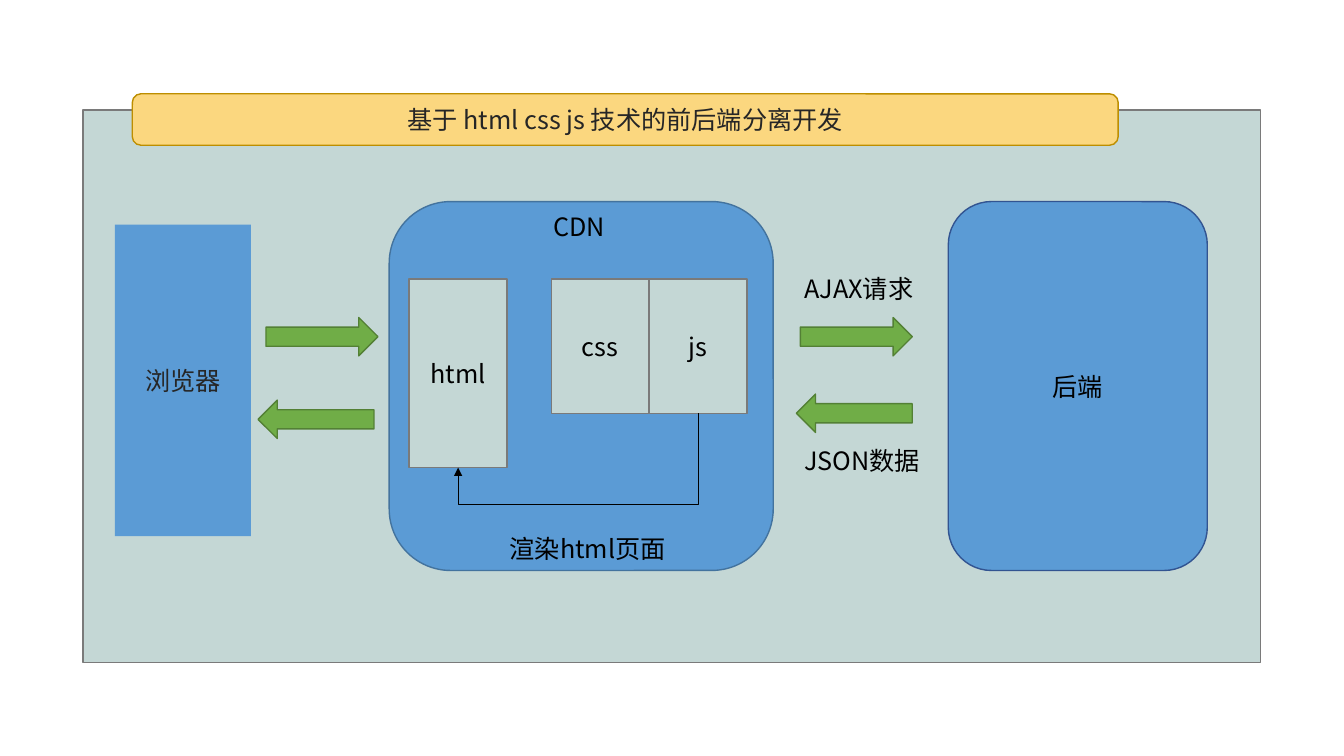
"""Build a slide on separating front end and back end with html, css and js."""
from lxml.etree import SubElement
from pptx import Presentation
from pptx.dml.color import RGBColor
from pptx.enum.shapes import MSO_CONNECTOR as Connector, MSO_SHAPE as Shape
from pptx.enum.text import MSO_ANCHOR as Anchor, PP_ALIGN as Align
from pptx.oxml.ns import qn
from pptx.util import Pt

FONT = "Noto Sans CJK SC"
BLACK = RGBColor(0x00, 0x00, 0x00)
CHARCOAL = RGBColor(0x26, 0x26, 0x26)
SAGE = RGBColor(0xC4, 0xD7, 0xD5)
GRAY = RGBColor(0x7A, 0x7A, 0x7A)
BLUE = RGBColor(0x5B, 0x9B, 0xD5)
CDN_EDGE = RGBColor(0x43, 0x73, 0x9E)
BACKEND_EDGE = RGBColor(0x32, 0x54, 0x91)
YELLOW = RGBColor(0xFB, 0xD7, 0x7F)
GOLD = RGBColor(0xBD, 0x8E, 0x00)
GREEN = RGBColor(0x70, 0xAD, 0x47)
DARK_GREEN = RGBColor(0x53, 0x80, 0x35)


def write_text(shape, text, color, align):
    frame = shape.text_frame
    frame.text = text
    frame.word_wrap = True
    paragraph = frame.paragraphs[0]
    paragraph.alignment = align
    for run in paragraph.runs:
        run.font.size = Pt(18)
        run.font.name = FONT
        run.font.color.rgb = color
        SubElement(run.font._element, qn("a:ea"), typeface=FONT)


def add_block(slide, kind, box, fill, edge=None, text="", color=BLACK):
    block = slide.shapes.add_shape(kind, *map(Pt, box))
    block.shadow.inherit = False
    block.fill.solid()
    block.fill.fore_color.rgb = fill
    if edge is None:
        block.line.fill.background()
    else:
        block.line.color.rgb = edge
        block.line.width = Pt(1)
    if text:
        write_text(block, text, color, Align.CENTER)
        block.text_frame.vertical_anchor = Anchor.MIDDLE
    return block


def add_label(slide, left, top, width, text):
    label = slide.shapes.add_textbox(Pt(left), Pt(top), Pt(width), Pt(28.8))
    write_text(label, text, BLACK, Align.LEFT)


def add_render_arrow(slide, script, page):
    arrow = slide.shapes.add_connector(Connector.ELBOW, 0, 0, 0, 0)
    arrow.begin_connect(script, 2)
    arrow.end_connect(page, 2)
    start_x, end_x = script.left + script.width // 2, page.left + page.width // 2
    start_y, end_y = script.top + script.height, page.top + page.height
    drop, span = end_y - start_y, start_x - end_x
    arrow.width, arrow.height = drop, span
    arrow.left = (start_x + end_x - drop) // 2
    arrow.top = (start_y + end_y - span) // 2
    properties = arrow._element.spPr
    transform = properties.find(qn("a:xfrm"))
    for flip in ("flipH", "flipV"):
        transform.attrib.pop(flip, None)
    transform.set("rot", "5400000")
    guides = properties.find(qn("a:prstGeom")).get_or_add_avLst()
    SubElement(guides, qn("a:gd"), name="adj1", fmla="val 166800")
    arrow.line.color.rgb = BLACK
    arrow.line.width = Pt(0.5)
    SubElement(arrow.line._get_or_add_ln(), qn("a:tailEnd"), type="triangle")
    SubElement(properties, qn("a:effectLst"))


def add_panel(slide, box):
    left, top, width, height = box
    add_block(slide, Shape.RECTANGLE, box, SAGE, GRAY)
    add_block(slide, Shape.ROUNDED_RECTANGLE, (left + 35.3, top - 11.5, 704.2, 36.7),
              YELLOW, GOLD, "基于 html css js 技术的前后端分离开发", CHARCOAL)


def add_cdn(slide, box):
    left, top, width, height = box
    add_block(slide, Shape.ROUNDED_RECTANGLE, box, BLUE, CDN_EDGE)
    files = {}
    for name, offset, file_height in (("html", 14.3, 134.6), ("css", 115.8, 95.8),
                                      ("js", 185.7, 95.8)):
        files[name] = add_block(slide, Shape.RECTANGLE,
                                (left + offset, top + 55.4, 69.9, file_height),
                                SAGE, GRAY, name)
    add_render_arrow(slide, files["js"], files["html"])
    add_label(slide, left + 79, top + 233.3, 213.8, "渲染html页面")
    add_label(slide, left + 110, top + 3.6, 61.2, "CDN")


def add_exchange(slide, box, reply_shift):
    left, top, width, height = box
    add_block(slide, Shape.RIGHT_ARROW, (left, top, width, 27.4), GREEN, DARK_GREEN)
    reply = add_block(slide, Shape.RIGHT_ARROW,
                      (left - reply_shift, top + height - 27.4, 82.8, 27.4),
                      GREEN, DARK_GREEN)
    reply.rotation = 180


def main():
    presentation = Presentation()
    presentation.slide_width, presentation.slide_height = Pt(960), Pt(540)
    slide = presentation.slides.add_slide(presentation.slide_layouts[6])
    add_panel(slide, (59.2, 78.5, 841, 394.6))
    add_block(slide, Shape.RECTANGLE, (82, 160.5, 97.2, 222.5), BLUE,
              text="浏览器", color=CHARCOAL)
    add_exchange(slide, (190, 226.8, 80, 86.4), 5.7)
    add_cdn(slide, (278, 144, 274.3, 263.5))
    add_exchange(slide, (571.7, 226.8, 80, 82.1), 2.9)
    add_label(slide, 567.4, 191.5, 105.1, "AJAX请求")
    add_label(slide, 567.4, 314.6, 105.1, "JSON数据")
    add_block(slide, Shape.ROUNDED_RECTANGLE, (677.4, 144, 185, 263.5), BLUE,
              BACKEND_EDGE, "后端")
    presentation.save("out.pptx")


if __name__ == "__main__":
    main()
